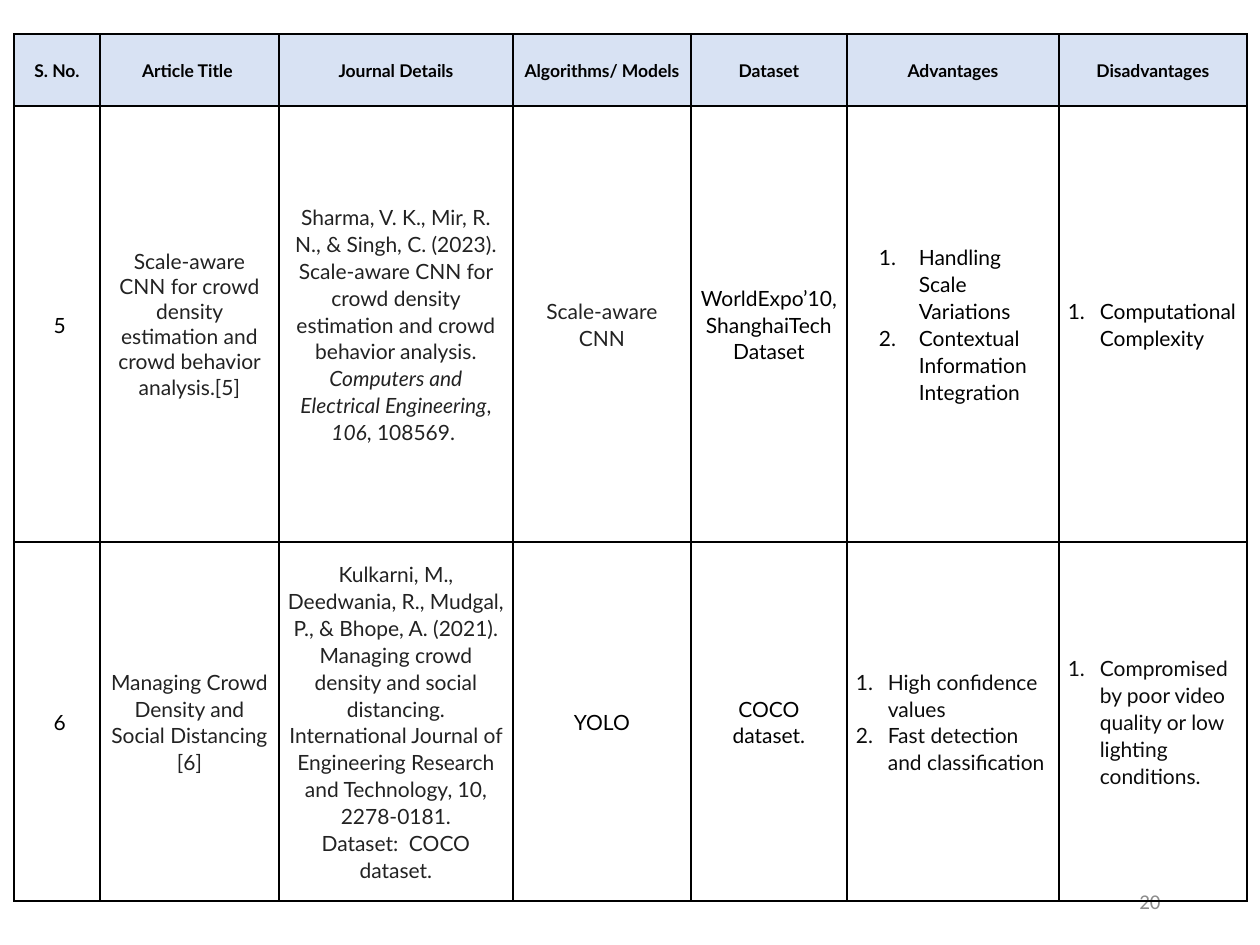
from dataclasses import dataclass
from typing import Any

from lxml import etree
from pptx import Presentation
from pptx.dml.color import RGBColor
from pptx.enum.text import MSO_ANCHOR, PP_ALIGN
from pptx.oxml.ns import qn
from pptx.util import Pt

MIDDLE = MSO_ANCHOR.MIDDLE
LEFT, CENTER, RIGHT = PP_ALIGN.LEFT, PP_ALIGN.CENTER, PP_ALIGN.RIGHT
PX = 914400 / 126
BORDER_SIDES = ("a:lnL", "a:lnR", "a:lnT", "a:lnB")

COLUMNS = (86, 179, 234, 178, 156, 212, 188)
ROWS = (72, 436, 359)
HEADINGS = ("S. No.", "Article Title ", "Journal Details", "Algorithms/ Models",
            "Dataset", "Advantages", "Disadvantages")


@dataclass(frozen=True)
class Theme:
    black: str = "000000"
    near_black: str = "0C0C0C"
    charcoal: str = "222222"
    gray: str = "8C8C8C"
    header_fill: str = "D8E2F3"
    table_font: str = "Lato"
    number_font: str = "Calibri"
    header_size: int = 10
    body_size: int = 12
    border_width: int = 1
    line_spacing: float = 1.07


@dataclass(frozen=True)
class Entry:
    paragraphs: tuple
    color: str = Theme.black
    bold: bool = False
    size: int = Theme.body_size
    spacing: float = Theme.line_spacing
    fill: str = ""
    numbered: bool = False
    margin: int = 32
    hanging: int = 32


ARTICLES = (
    (
        Entry((" 5",)),
        Entry(("Scale-aware CNN for crowd density estimation and crowd behavior "
               "analysis.[5]",), Theme.charcoal, spacing=1.0),
        Entry(((("Sharma, V. K., Mir, R. N., & Singh, C. (2023). Scale-aware CNN for "
                 "crowd density estimation and crowd behavior analysis. ", False),
                ("Computers and Electrical Engineering", True), (", ", False),
                ("106", True), (", 108569. ", False)),), Theme.charcoal),
        Entry(("Scale-aware CNN",), Theme.charcoal),
        Entry(("WorldExpo’10, ShanghaiTech Dataset",)),
        Entry(("Handling Scale Variations", "Contextual Information Integration"),
              numbered=True, margin=63, hanging=40),
        Entry(("Computational Complexity",), numbered=True),
    ),
    (
        Entry((" 6",)),
        Entry(("Managing Crowd Density and Social Distancing [6]",), Theme.charcoal),
        Entry(("Kulkarni, M., Deedwania, R., Mudgal, P., & Bhope, A. (2021). Managing "
               "crowd density and social distancing. International Journal of "
               "Engineering Research and Technology, 10, 2278-0181.",
               "Dataset:  COCO dataset."), Theme.charcoal),
        Entry(("YOLO",)),
        Entry(("COCO dataset.",)),
        Entry(("High confidence values", "Fast detection and classification"),
              Theme.near_black, numbered=True),
        Entry(("Compromised by poor video quality or low lighting conditions.",),
              Theme.near_black, numbered=True),
    ),
)


def px(length):
    return round(length * PX)


def assign(target, values):
    for name, value in values.items():
        setattr(target, name, value)


@dataclass
class SlideBuilder:
    page: Any
    theme: Theme

    def span(self, para, text, color, **font):
        span = para.add_run()
        span.text = text
        assign(span.font, font)
        span.font.color.rgb = RGBColor.from_string(color)

    def text_box(self, left, top, width, height, text):
        box = self.page.shapes.add_textbox(*map(px, (left, top, width, height)))
        assign(box.text_frame, {"word_wrap": True, "vertical_anchor": MIDDLE})
        para = box.text_frame.paragraphs[0]
        para.alignment = RIGHT
        self.span(para, text, self.theme.gray, name=self.theme.number_font,
                  size=Pt(self.theme.body_size))

    def borders(self, cell):
        properties = cell._tc.get_or_add_tcPr()
        for side in BORDER_SIDES:
            line = etree.SubElement(properties, qn(side),
                                    w=str(Pt(self.theme.border_width)))
            fill = etree.SubElement(line, qn("a:solidFill"))
            etree.SubElement(fill, qn("a:srgbClr"), val=self.theme.black)

    def numbering(self, para, entry):
        properties = para._p.get_or_add_pPr()
        properties.set("marL", str(px(entry.margin)))
        properties.set("indent", str(-px(entry.hanging)))
        etree.SubElement(properties, qn("a:buFont"), typeface="+mj-lt")
        etree.SubElement(properties, qn("a:buAutoNum"), type="arabicPeriod")

    def cell(self, cell, entry):
        assign(cell, {"margin_left": px(9), "margin_right": px(9), "margin_top": 0,
                      "margin_bottom": 0, "vertical_anchor": MIDDLE})
        self.borders(cell)
        if entry.fill:
            cell.fill.solid()
            cell.fill.fore_color.rgb = RGBColor.from_string(entry.fill)
        else:
            cell.fill.background()
        frame = cell.text_frame
        for index, content in enumerate(entry.paragraphs):
            para = frame.add_paragraph() if index else frame.paragraphs[0]
            assign(para, {"alignment": LEFT if entry.numbered else CENTER,
                          "line_spacing": entry.spacing})
            if entry.numbered:
                self.numbering(para, entry)
            pieces = ((content, False),) if isinstance(content, str) else content
            for text, italic in pieces:
                self.span(para, text, entry.color, name=self.theme.table_font,
                          size=Pt(entry.size), bold=entry.bold, italic=italic)

    def table(self, left, top, columns, rows, entries):
        frame = self.page.shapes.add_table(
            len(rows), len(columns),
            *map(px, (left, top, sum(columns), sum(rows))))
        table = frame.table
        assign(table, {"first_row": False, "horz_banding": False})
        for column, width in zip(table.columns, columns):
            column.width = px(width)
        for row, height, row_entries in zip(table.rows, rows, entries):
            row.height = px(height)
            for cell, entry in zip(row.cells, row_entries):
                self.cell(cell, entry)


def main():
    deck = Presentation()
    assign(deck, {"slide_width": px(1260), "slide_height": px(945)})
    theme = Theme()
    builder = SlideBuilder(deck.slides.add_slide(deck.slide_layouts[6]), theme)
    header = tuple(Entry((heading,), bold=True, size=theme.header_size,
                         fill=theme.header_fill) for heading in HEADINGS)
    builder.text_box(890, 876, 283, 50, "20")
    builder.table(14, 34, COLUMNS, ROWS, (header, *ARTICLES))
    deck.save("out.pptx")


if __name__ == "__main__":
    main()
